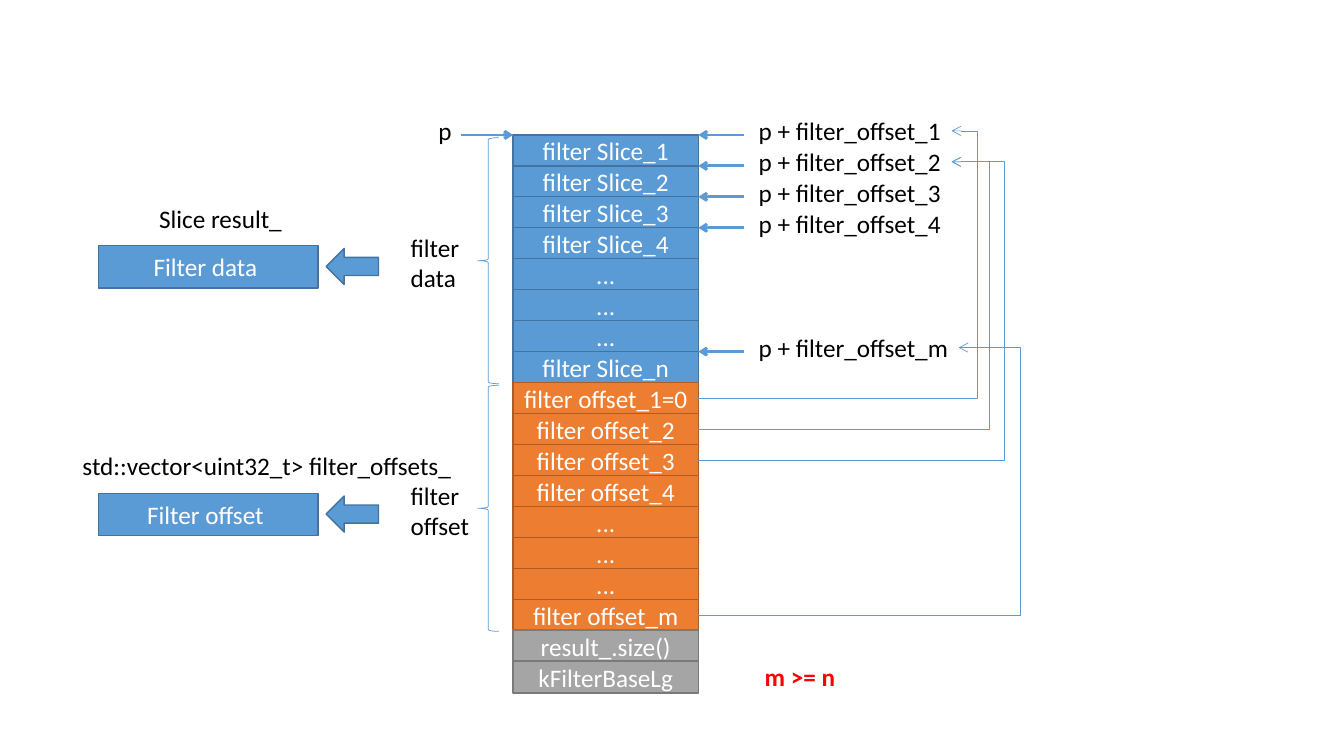
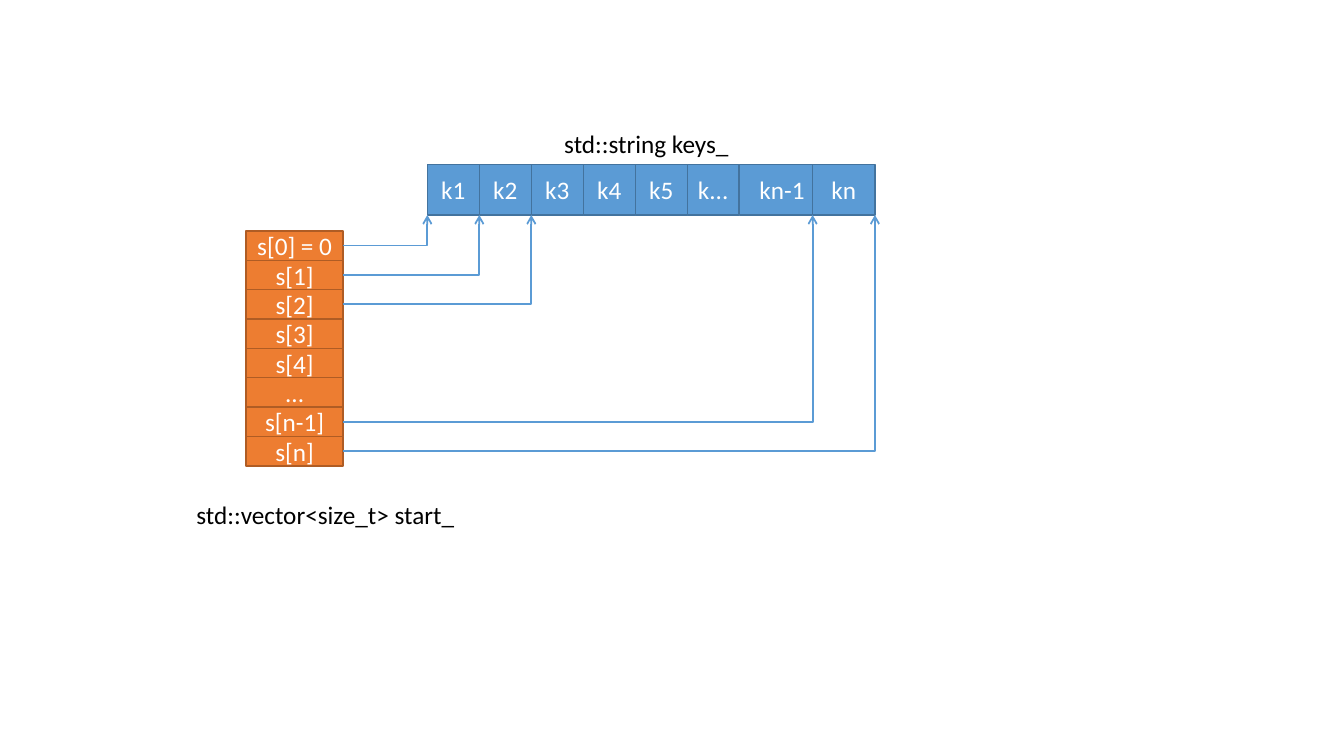
"""Build two slides on the memory layout of a filter block and its key list."""
import pptx
import pptx.dml.color
import pptx.enum.shapes
import pptx.enum.text
import pptx.oxml.ns
import pptx.util
from lxml import etree

Cm = pptx.util.Cm
Pt = pptx.util.Pt
qn = pptx.oxml.ns.qn
rgb = pptx.dml.color.RGBColor.from_string
SHAPES = pptx.enum.shapes.MSO_SHAPE
CONNECTORS = pptx.enum.shapes.MSO_CONNECTOR
ALIGN = pptx.enum.text.PP_ALIGN
ANCHOR = pptx.enum.text.MSO_ANCHOR
AUTO_SIZE = pptx.enum.text.MSO_AUTO_SIZE

ACCENT = "5B9BD5"
BLUE = {"fill": ACCENT, "edge": "43739E"}
ORANGE = {"fill": "ED7D31", "edge": "AF5C24"}
GREY = {"fill": "A5A5A5", "edge": "7A7A7A"}


def place(slide, text, left, top, width, height=1.02, preset=None, fill=None,
          edge=None, weight=1, color="000000", bold=False, wrap=False):
    """Add a preset shape, or a plain label when no preset is given."""
    area = Cm(left), Cm(top), Cm(width), Cm(height)
    if preset is None:
        item = slide.shapes.add_textbox(*area)
        item.text_frame.auto_size = AUTO_SIZE.SHAPE_TO_FIT_TEXT
    else:
        item = slide.shapes.add_shape(preset, *area)
        item.shadow.inherit = False
        item.line.color.rgb = rgb(edge)
        item.line.width = Pt(weight)
        if fill:
            item.fill.solid()
            item.fill.fore_color.rgb = rgb(fill)
            color, wrap = "FFFFFF", True
        else:
            item.fill.background()
    if text:
        frame = item.text_frame
        frame.word_wrap = wrap
        paragraph = frame.paragraphs[0]
        if preset is not None:
            frame.vertical_anchor = ANCHOR.MIDDLE
            paragraph.alignment = ALIGN.CENTER
        run = paragraph.add_run()
        run.text = text
        run.font.name = "Calibri"
        run.font.size = Pt(18)
        run.font.bold = bold
        run.font.color.rgb = rgb(color)


def point(slide, start, end, weight, bend=None):
    """Add an arrow, turning at the horizontal position bend if given."""
    kind = CONNECTORS.STRAIGHT if bend is None else CONNECTORS.ELBOW
    arrow = slide.shapes.add_connector(kind, *map(Cm, start + end))
    arrow.line.color.rgb = rgb(ACCENT)
    arrow.line.width = Pt(weight)
    properties = arrow._element.spPr
    etree.SubElement(properties.find(qn("a:ln")), qn("a:tailEnd"), type="arrow")
    etree.SubElement(properties, qn("a:effectLst"))
    if bend is not None:
        ratio = round((bend - start[0]) / (end[0] - start[0]) * 100000)
        guides = properties.find(qn("a:prstGeom")).get_or_add_avLst()
        etree.SubElement(guides, qn("a:gd"), name="adj1", fmla=f"val {ratio}")


deck = pptx.Presentation()
deck.slide_width = Cm(33.87)
deck.slide_height = Cm(19.05)
blank = deck.slide_layouts[6]

block = deck.slides.add_slide(blank)
block_left, block_top, block_width, row_step, row_height = 12.93, 3.4, 4.67, 0.78, 0.8
block_right = block_left + block_width
row_tops = [block_top + row_step * row for row in range(18)]
sections = [
    (BLUE, ["filter Slice_1", "filter Slice_2", "filter Slice_3", "filter Slice_4",
            "...", "...", "...", "filter Slice_n"]),
    (ORANGE, ["filter offset_1=0", "filter offset_2", "filter offset_3",
              "filter offset_4", "...", "...", "...", "filter offset_m"]),
    (GREY, ["result_.size()", "kFilterBaseLg"]),
]
rows = [(style, entry) for style, entries in sections for entry in entries]
for (style, entry), top in zip(rows, row_tops):
    place(block, entry, block_left, top, block_width, row_height,
          preset=SHAPES.RECTANGLE, **style)

place(block, "p", 10.8, block_top - 0.61, 0.84)
point(block, (11.61, block_top), (block_left, block_top), 2)
for row, suffix, width in [(0, "1", 5.1), (1, "2", 5.1), (2, "3", 5.1),
                           (3, "4", 5.1), (7, "m", 5.28)]:
    point(block, (18.75, row_tops[row]), (block_right, row_tops[row]), 2)
    place(block, f"p + filter_offset_{suffix}", 18.87, row_tops[row] - 0.61, width)

for source, target, end, bend in [(8, 0, 23.98, 24.64), (9, 1, 23.98, 24.94),
                                  (10, 1, 23.98, 25.32), (15, 7, 24.16, 25.73)]:
    point(block, (block_right, row_tops[source] + row_height / 2),
          (end, row_tops[target] - 0.1), 0.5, bend)

members = [
    (0, "Slice result_", 3.76, 3.61, "Filter data ", "filter data"),
    (8, "std::vector<uint32_t> filter_offsets_", 1.83, 9.8, "Filter offset ",
     "filter offset"),
]
for row, declaration, left, width, member, part in members:
    top = row_tops[row]
    place(block, "", 12.04, top + 0.07, 0.53, 6.2, preset=SHAPES.LEFT_BRACE,
          edge=ACCENT, weight=0.5)
    place(block, declaration, left, top + 1.59, width)
    place(block, "", 8.22, top + 2.86, 1.32, 0.91, preset=SHAPES.LEFT_ARROW, **BLUE)
    place(block, member, 2.48, top + 2.79, 5.54, 1.07, preset=SHAPES.RECTANGLE, **BLUE)
    place(block, part, 10.1, top + 2.33, 2.29, 1.8, wrap=True)
place(block, "m >= n", 19.02, 16.54, 2.29, color="FF0000", bold=True)

index = deck.slides.add_slide(blank)
key_top, key_height = 4.14, 1.28
key_lefts = [10.77 + 1.31 * key for key in range(7)] + [20.48]
key_widths = [1.31] * 6 + [2.16, 1.57]
keys = ["k1", "k2", "k3", "k4", "k5", "k...", "kn-1", "kn"]
for key, left, width in zip(keys, key_lefts, key_widths):
    place(index, key, left, key_top, width, key_height, preset=SHAPES.RECTANGLE, **BLUE)

start_left, start_top, start_width, start_step = 6.2, 5.82, 2.45, 0.74
starts = ["s[0] = 0", "s[1]", "s[2]", "s[3]", "s[4]", "...", "s[n-1]", "s[n]"]
for row, start in enumerate(starts):
    place(index, start, start_left, start_top + start_step * row, start_width, start_step,
          preset=SHAPES.RECTANGLE, **ORANGE)

keys_right = key_lefts[-1] + key_widths[-1]
for row, target in [(0, key_lefts[0]), (1, key_lefts[1]), (2, key_lefts[2]),
                    (6, key_lefts[7]), (7, keys_right)]:
    point(index, (start_left + start_width, start_top + start_step * (row + 0.5)),
          (target, key_top + key_height), 1.25, target)

place(index, "std::string keys_", 13.97, 3.1, 4.65)
place(index, "std::vector<size_t> start_", 4.7, 12.47, 7.01)

deck.save("out.pptx")
